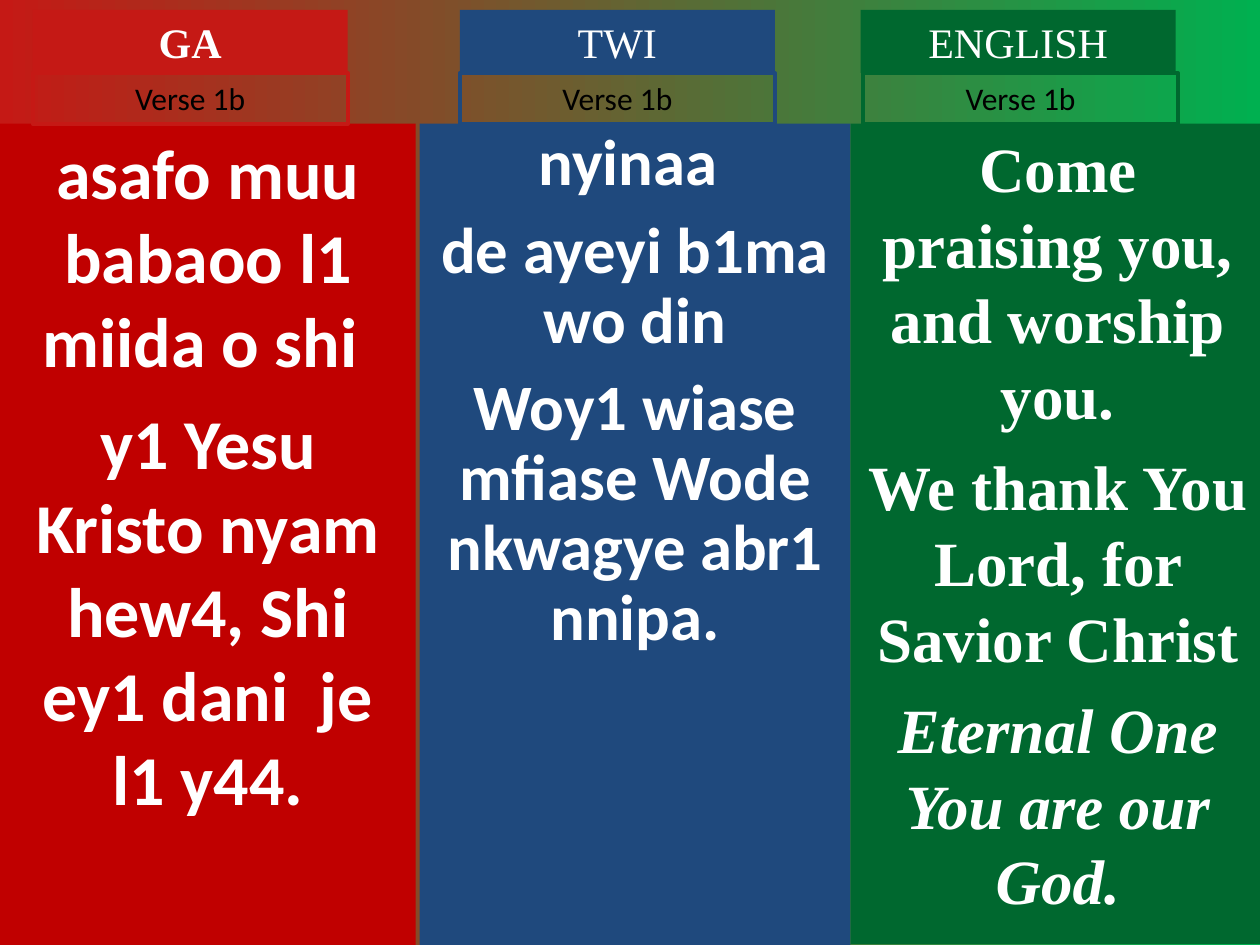
from dataclasses import dataclass

import pptx
import pptx.dml.color
import pptx.enum.shapes
import pptx.enum.text
import pptx.util

Pt = pptx.util.Pt
RGBColor = pptx.dml.color.RGBColor

RED = RGBColor(0xC5, 0x19, 0x15)
DARK_RED = RGBColor(0xC0, 0x00, 0x00)
BLUE = RGBColor(0x1F, 0x49, 0x7D)
GREEN = RGBColor(0x00, 0x68, 0x2F)
BRIGHT_GREEN = RGBColor(0x00, 0xB0, 0x50)
WHITE = RGBColor(0xFF, 0xFF, 0xFF)
BLACK = RGBColor(0x00, 0x00, 0x00)
SANS, SERIF = "Calibri", "Times New Roman"

LABEL_WIDTH = 180
NAME_TOP, NAME_HEIGHT = 5.7, 36
VERSE_TOP, VERSE_HEIGHT = 41.7, 29
LYRICS_TOP = 70.6


@dataclass(frozen=True)
class Column:
    language: str
    color: RGBColor
    lyrics_color: RGBColor
    left: float
    width: float
    height: float
    name_left: float
    verse_left: float
    lyrics: tuple[str, ...]
    font: str
    size: float
    space_before: float
    line_spacing: float = 1.0
    bold_name: bool = False
    italic_last: bool = False


COLUMNS = (
    Column("GA", RED, DARK_RED, 0, 237.6, 469.4, 18.7, 18.7,
           ("asafo muu babaoo l1 miida o shi ",
            "y1 Yesu Kristo nyam hew4, Shi ey1 dani  je l1 y44."),
           SANS, 40, 10, bold_name=True),
    Column("TWI", BLUE, BLUE, 239.8, 246.2, 469.4, 262.8, 262.8,
           ("nyinaa ", "de ayeyi b1ma wo din",
            "Woy1 wiase mfiase Wode nkwagye abr1 nnipa."),
           SANS, 37, 10, line_spacing=0.9),
    Column("ENGLISH", GREEN, GREEN, 486, 236.9, 468.7, 491.8, 493.2,
           ("Come praising you, and worship you.",
            "We thank You Lord, for Savior Christ",
            "Eternal One You are our God."),
           SERIF, 36, 9, italic_last=True),
)


def add_box(slide, left: float, top: float, width: float, height: float,
            fill: RGBColor | None = None, line: RGBColor | None = None,
            grow: bool = False):
    """Add a rectangle and return its text frame, anchored at the top."""
    sp = slide.shapes.add_shape(pptx.enum.shapes.MSO_SHAPE.RECTANGLE,
                                Pt(left), Pt(top), Pt(width), Pt(height))
    sp.shadow.inherit = False
    if fill is None:
        sp.fill.background()
    else:
        sp.fill.solid()
        sp.fill.fore_color.rgb = fill
    if line is None:
        sp.line.fill.background()
    else:
        sp.line.color.rgb = line
        sp.line.width = Pt(2.25)
    tf = sp.text_frame
    tf.word_wrap = True
    tf.vertical_anchor = pptx.enum.text.MSO_ANCHOR.TOP
    if grow:
        tf.auto_size = pptx.enum.text.MSO_AUTO_SIZE.SHAPE_TO_FIT_TEXT
    return tf


def write(p, text: str, *, font: str, size: float, color: RGBColor = WHITE,
          bold: bool = False, italic: bool = False, space_before: float = 0,
          line_spacing: float = 1.0) -> None:
    p.alignment = pptx.enum.text.PP_ALIGN.CENTER
    p.space_before = Pt(space_before)
    p.line_spacing = line_spacing
    r = p.add_run()
    r.text = text
    r.font.name = font
    r.font.size = Pt(size)
    r.font.bold = bold
    r.font.italic = italic
    r.font.color.rgb = color


def draw_lyrics(slide, column: Column) -> None:
    tf = add_box(slide, column.left, LYRICS_TOP, column.width, column.height,
                 fill=column.lyrics_color)
    last = len(column.lyrics) - 1
    for i, text in enumerate(column.lyrics):
        p = tf.add_paragraph() if i else tf.paragraphs[0]
        write(p, text, font=column.font, size=column.size, bold=True,
              italic=column.italic_last and i == last,
              space_before=column.space_before if i else 0,
              line_spacing=column.line_spacing)


def draw_labels(slide, column: Column) -> None:
    tf = add_box(slide, column.name_left, NAME_TOP, LABEL_WIDTH, NAME_HEIGHT,
                 fill=column.color, grow=True)
    write(tf.paragraphs[0], column.language, font=SERIF, size=24,
          bold=column.bold_name)
    tf = add_box(slide, column.verse_left, VERSE_TOP, LABEL_WIDTH, VERSE_HEIGHT,
                 line=column.color, grow=True)
    write(tf.paragraphs[0], "Verse 1b", font=SANS, size=18, color=BLACK)


def paint_background(slide) -> None:
    fill = slide.background.fill
    fill.gradient()
    fill.gradient_angle = 0
    for stop, position, color in zip(fill.gradient_stops, (0, 1),
                                     (RED, BRIGHT_GREEN)):
        stop.position = position
        stop.color.rgb = color


def main() -> None:
    prs = pptx.Presentation()
    prs.slide_width, prs.slide_height = Pt(720), Pt(540)
    slide = prs.slides.add_slide(prs.slide_layouts.get_by_name("Blank"))
    paint_background(slide)
    for column in COLUMNS:
        draw_lyrics(slide, column)
        draw_labels(slide, column)
    prs.save("out.pptx")


if __name__ == "__main__":
    main()
